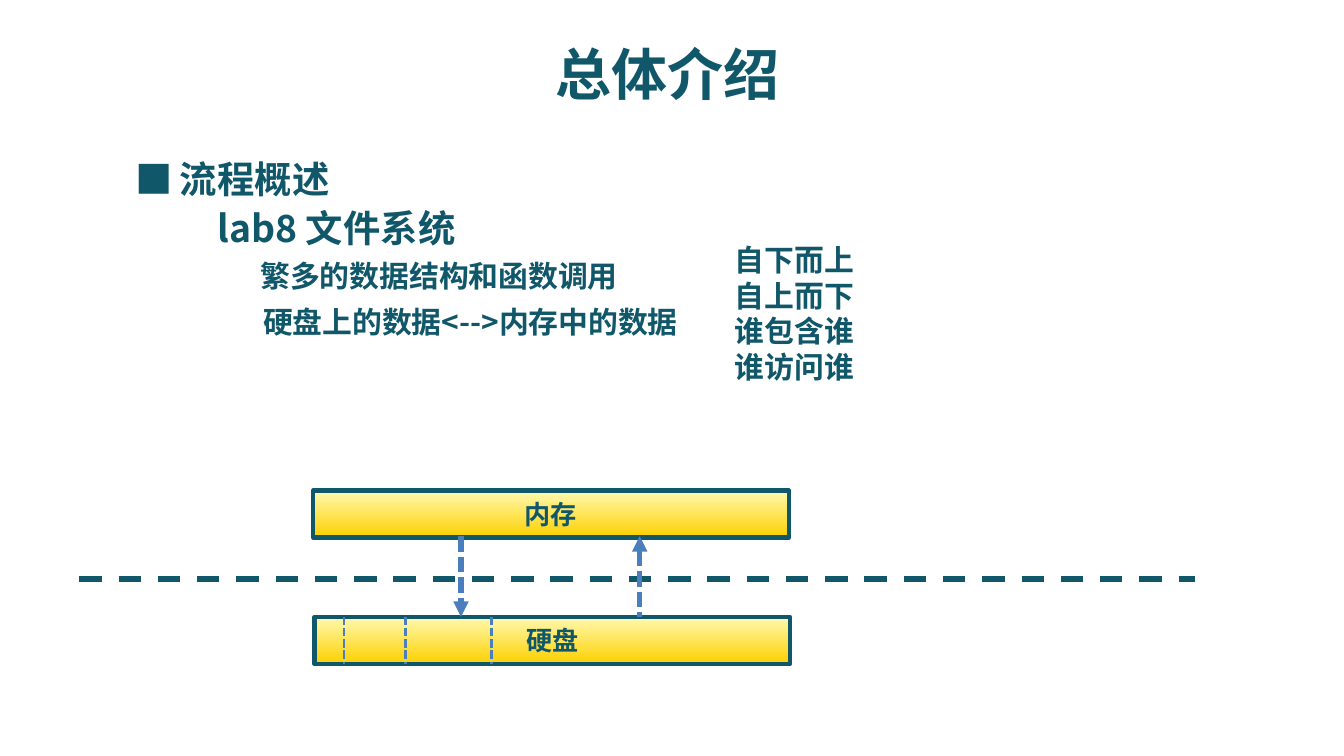
from lxml import etree
from pptx import Presentation
from pptx.dml.color import RGBColor
from pptx.enum.dml import MSO_LINE
from pptx.enum.shapes import MSO_CONNECTOR, MSO_SHAPE
from pptx.enum.text import MSO_ANCHOR, PP_ALIGN
from pptx.oxml.ns import qn
from pptx.util import Inches, Pt

TEAL = RGBColor(0x11, 0x57, 0x6A)
BLUE = RGBColor(0x4B, 0x7E, 0xBC)
PALE_YELLOW = RGBColor(0xFF, 0xF9, 0xB1)
GOLD = RGBColor(0xFD, 0xD0, 0x00)
FONT = "Noto Sans CJK SC"
BULLET_FONT = "Noto Sans CJK JP"


def style_text(tf, size, font=FONT, align=PP_ALIGN.LEFT):
    for p in tf.paragraphs:
        p.alignment = align
        for r in p.runs:
            r.font.size = Pt(size)
            r.font.bold = True
            r.font.name = font
            r.font.color.rgb = TEAL
            east_asian = etree.SubElement(r.font._element, qn("a:ea"))
            east_asian.set("typeface", font)


def add_text(s, box, text, size, font=FONT, align=PP_ALIGN.LEFT):
    tf = s.shapes.add_textbox(*map(Inches, box)).text_frame
    tf.word_wrap = True
    tf.text = text
    style_text(tf, size, font, align)
    return tf


def add_line(s, start, end, color, width, dash, head=None):
    """Draw a dashed line; head is "headEnd" (at start) or "tailEnd" (at end)."""
    line = s.shapes.add_connector(MSO_CONNECTOR.STRAIGHT,
                                  *map(Inches, (*start, *end)))
    line.line.color.rgb = color
    line.line.width = Pt(width)
    line.line.dash_style = dash
    if head:
        ln = line.line._get_or_add_ln()
        etree.SubElement(ln, qn(f"a:{head}")).set("type", "triangle")
    etree.SubElement(line._element.spPr, qn("a:effectLst"))


def add_bar(s, box, label):
    sp = s.shapes.add_shape(MSO_SHAPE.RECTANGLE, *map(Inches, box))
    sp.shadow.inherit = False
    sp.fill.gradient()
    sp.fill.gradient_angle = 270
    for stop, color, position in zip(sp.fill.gradient_stops,
                                     (PALE_YELLOW, GOLD), (0, 1)):
        stop.color.rgb = color
        stop.position = position
    sp.line.color.rgb = TEAL
    sp.line.width = Pt(2.25)
    tf = sp.text_frame
    tf.word_wrap = False
    tf.vertical_anchor = MSO_ANCHOR.MIDDLE
    tf.text = label
    style_text(tf, 14, align=PP_ALIGN.CENTER)


def add_title(s, box):
    tf = add_text(s, box, "总体介绍", 30, align=PP_ALIGN.CENTER)
    tf.vertical_anchor = MSO_ANCHOR.MIDDLE
    tf.margin_top = Inches(0.08)


def add_outline(s, left, top):
    add_text(s, (left, top, 0.47, 0.44), "■", 20, BULLET_FONT)
    add_text(s, (left + 0.33, top, 1.64, 0.47), "流程概述", 20)
    add_text(s, (left + 0.61, top + 0.37, 4.1, 0.45), "lab8 文件系统", 20)
    add_text(s, (left + 0.93, top + 0.76, 4.1, 0.28),
             "繁多的数据结构和函数调用", 16)
    add_text(s, (left + 0.95, top + 1.1, 4.1, 0.28),
             "硬盘上的数据<-->内存中的数据", 16)


def add_viewpoints(s, box):
    tf = add_text(s, box, "自下而上\n自上而下\n谁包含谁\n谁访问谁", 16)
    for p in tf.paragraphs:
        p.line_spacing = Pt(19.1)


def add_storage_diagram(s, left, top):
    """Memory above disk, with transfers crossing the dashed boundary."""
    bar_w, bar_h = 3.54, 0.35
    memory_bottom, disk_top = top + 0.34, top + 0.94
    add_bar(s, (left + 0.01, disk_top, bar_w, bar_h), "硬盘")
    boundary_y = top + 0.66
    add_line(s, (left - 1.74, boundary_y), (left + 6.56, boundary_y),
             TEAL, 3, MSO_LINE.DASH)
    for dx in (0.23, 0.69, 1.33):
        add_line(s, (left + dx, disk_top), (left + dx, disk_top + bar_h),
                 BLUE, 1.5, MSO_LINE.SQUARE_DOT)
    add_bar(s, (left, top, bar_w, bar_h), "内存")
    for dx, head in ((1.1, "tailEnd"), (2.43, "headEnd")):
        add_line(s, (left + dx, memory_bottom), (left + dx, disk_top),
                 BLUE, 2.75, MSO_LINE.SQUARE_DOT, head)


def main():
    prs = Presentation()
    prs.slide_width, prs.slide_height = Inches(10), Inches(10 * 9 / 16)
    s = prs.slides.add_slide(prs.slide_layouts[6])
    add_title(s, (0.47, 0.25, 9, 0.56))
    add_outline(s, 0.91, 1.11)
    add_viewpoints(s, (5.37, 1.75, 1.21, 1.22))
    add_storage_diagram(s, 2.33, 3.65)
    prs.save("out.pptx")


if __name__ == "__main__":
    main()
